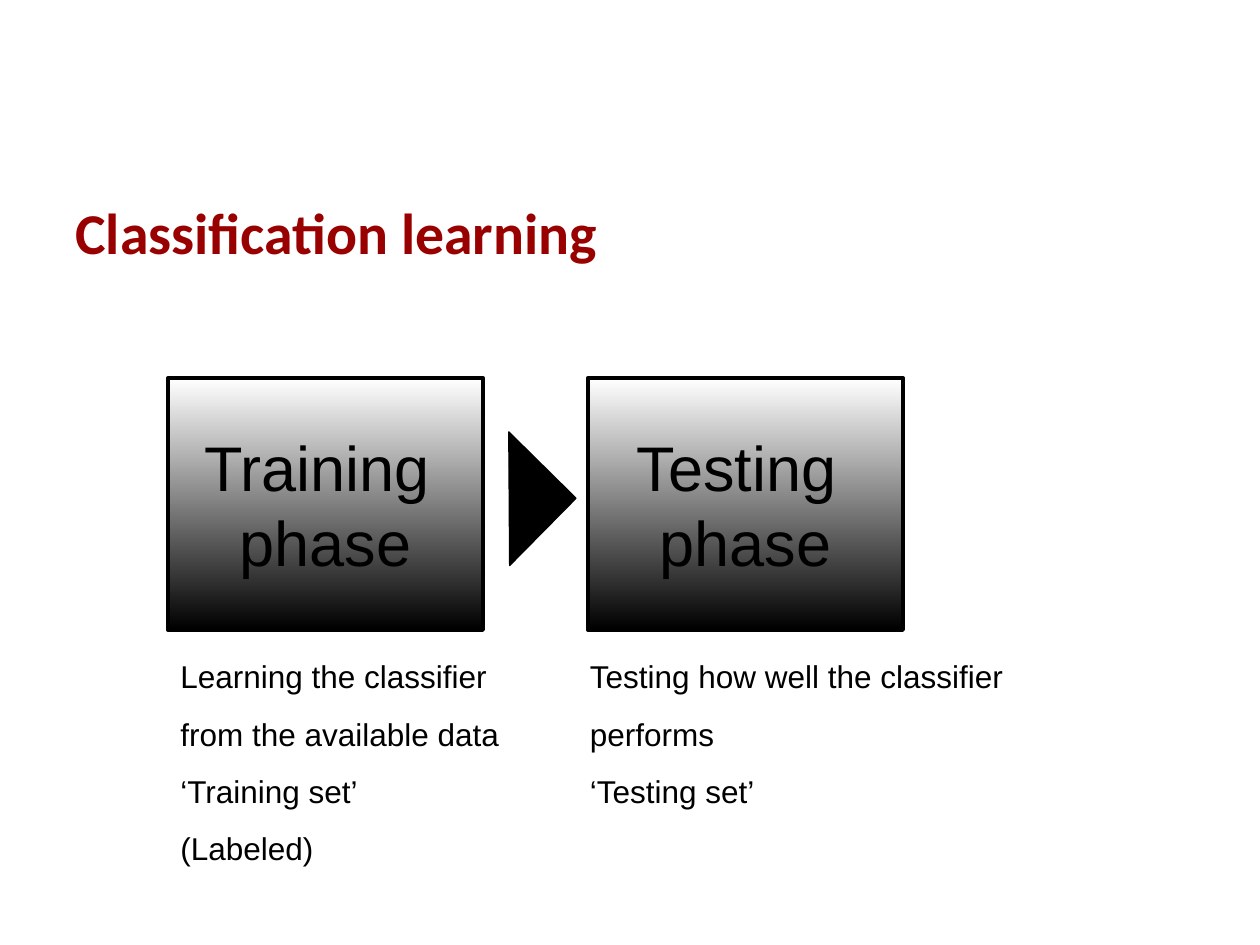
from pptx import Presentation
from pptx.dml.color import RGBColor
from pptx.enum.shapes import MSO_SHAPE
from pptx.enum.text import MSO_ANCHOR, PP_ALIGN
from pptx.util import Inches, Pt


def rgb(value):
    return RGBColor.from_string(value)


def write(tf, lines, size, font, color, bold=False, **paragraph_format):
    """Fill a text frame with one paragraph per line; space before skips the first."""
    for i, line in enumerate(lines):
        p = tf.paragraphs[0] if i == 0 else tf.add_paragraph()
        for name, value in paragraph_format.items():
            if i or name != "space_before":
                setattr(p, name, value)
        r = p.add_run()
        r.text = line
        for name, value in {"size": Pt(size), "name": font, "bold": bold}.items():
            setattr(r.font, name, value)
        r.font.color.rgb = rgb(color)


prs = Presentation()
prs.slide_width, prs.slide_height = Inches(10), Inches(7.5)
s = prs.slides.add_slide(prs.slide_layouts[6])

# Grid of 120 columns by 90 rows
col, row = prs.slide_width // 120, prs.slide_height // 90

title = s.shapes.add_textbox(6 * col, 15 * row, 108 * col, 15 * row)
tf = title.text_frame
tf.word_wrap = True
tf.vertical_anchor = MSO_ANCHOR.MIDDLE
write(tf, ["Classification learning"], 33, "Calibri", "990000", bold=True, line_spacing=0.9)

phases = [
    (16, 16, ["Training ", "phase"],
     ["Learning the classifier", "from the available data", "‘Training set’", "(Labeled)"]),
    (56, 55, ["Testing ", "phase"],
     ["Testing how well the classifier", "performs", "‘Testing set’"]),
]
for box_col, note_col, heading, notes in phases:
    box = s.shapes.add_shape(MSO_SHAPE.RECTANGLE, box_col * col, 36 * row, 30 * col, 24 * row)
    box.shadow.inherit = False
    box.fill.gradient()
    box.fill.gradient_angle = 270
    for stop, color, position in zip(box.fill.gradient_stops, ("FFFFFF", "000000"), (0, 1)):
        stop.color.rgb = rgb(color)
        stop.position = position
    box.line.color.rgb = rgb("000000")
    box.line.width = Pt(2.25)
    tf = box.text_frame
    tf.word_wrap = False
    tf.vertical_anchor = MSO_ANCHOR.MIDDLE
    write(tf, heading, 36, "Arial", "000000", alignment=PP_ALIGN.CENTER)

    note = s.shapes.add_textbox(note_col * col, 62 * row, 54 * col, 21.25 * row)
    tf = note.text_frame
    tf.word_wrap = True
    write(tf, notes, 18, "Arial", "000000", space_before=Pt(11.2))

arrow = s.shapes.add_shape(MSO_SHAPE.RIGHT_TRIANGLE, 44 * col, 43 * row, 9 * col, 9 * row)
arrow.rotation = 224.6
arrow.shadow.inherit = False
arrow.fill.solid()
arrow.fill.fore_color.rgb = rgb("000000")
arrow.line.color.rgb = rgb("000000")
arrow.line.width = Pt(0.75)

prs.save("out.pptx")
